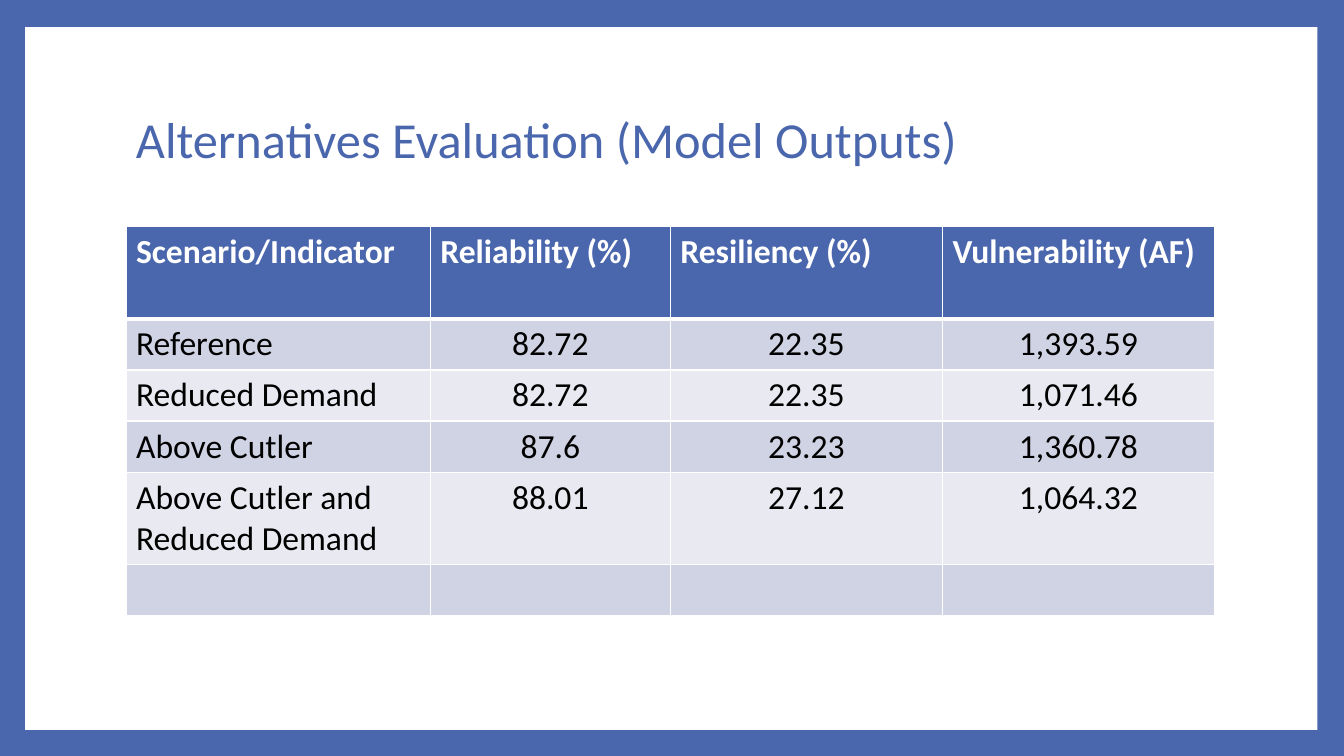
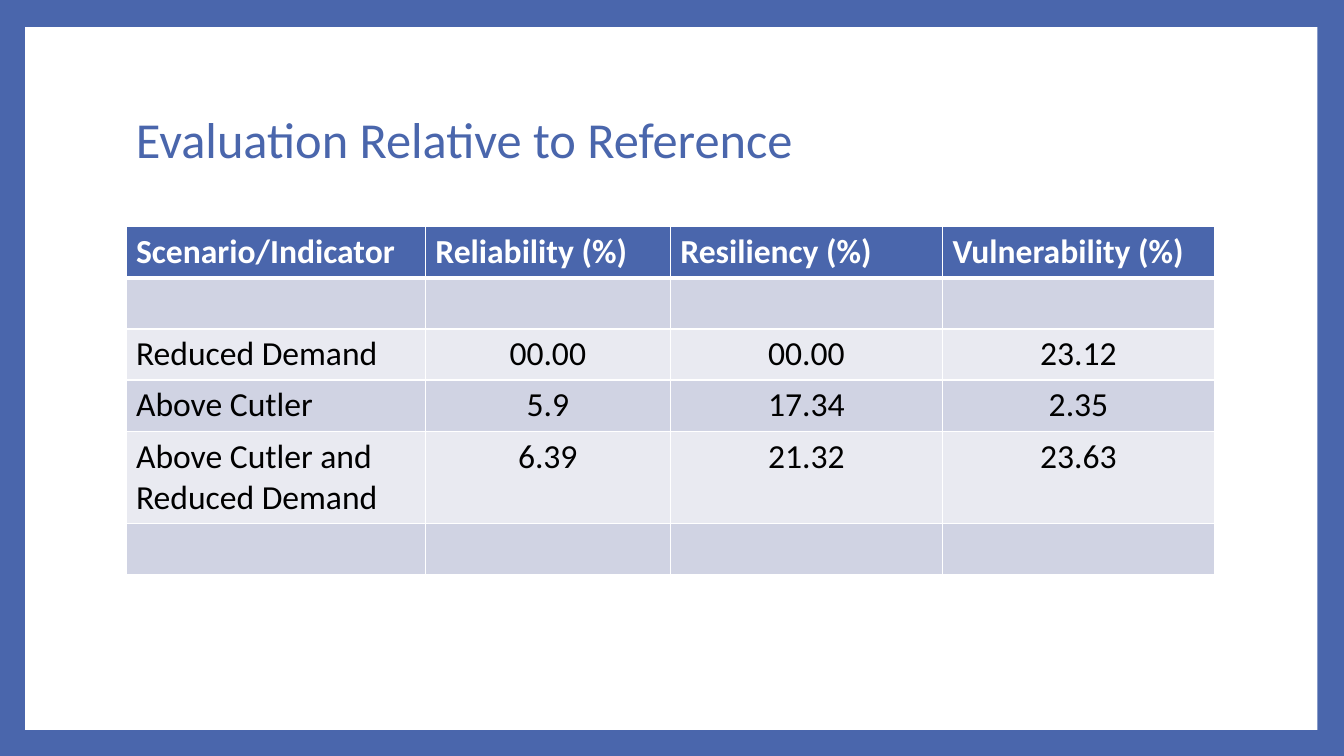
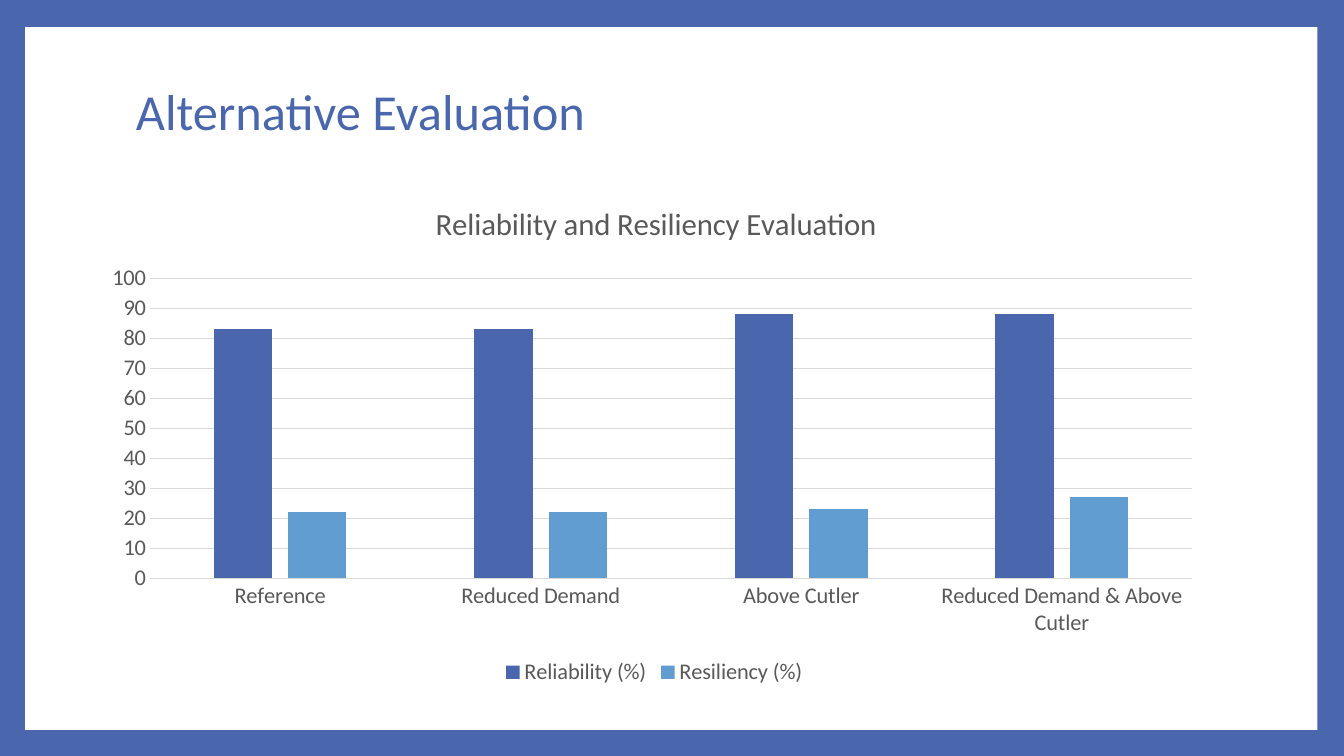
from dataclasses import dataclass

from lxml import etree
from pptx import Presentation
from pptx.chart.data import CategoryChartData
from pptx.dml.color import RGBColor
from pptx.enum.chart import XL_CHART_TYPE, XL_LEGEND_POSITION, XL_TICK_MARK
from pptx.enum.shapes import MSO_SHAPE
from pptx.enum.text import MSO_ANCHOR, PP_ALIGN
from pptx.oxml.ns import qn
from pptx.util import Pt

COLUMN = XL_CHART_TYPE.COLUMN_CLUSTERED
BOTTOM = XL_LEGEND_POSITION.BOTTOM
NO_TICK = XL_TICK_MARK.NONE
RECT = MSO_SHAPE.RECTANGLE
MIDDLE = MSO_ANCHOR.MIDDLE
LEFT, CENTER = PP_ALIGN.LEFT, PP_ALIGN.CENTER


@dataclass(frozen=True)
class Theme:
    font: str = "Calibri"
    blue: str = "4A66AC"
    sky: str = "629DD1"
    white: str = "FFFFFF"
    black: str = "000000"
    gray: str = "595959"
    rule: str = "D9D9D9"
    bands: tuple = ("D0D3E3", "E9EAF1")
    title: int = 36
    cell: int = 24
    chart: int = 22
    label: int = 16
    base: int = 10


THEME = Theme()
LEFT_EDGE, WIDTH = 90, 777.6
ROW, TALL = 36.5, 65.8


def color(code):
    return RGBColor.from_string(code)


def paint(fill, code):
    fill.solid()
    fill.fore_color.rgb = color(code)


def style(font, size, code, bold=False):
    font.name = THEME.font
    font.size = Pt(size)
    font.bold = bold
    font.color.rgb = color(code)


def add_page(deck, title, height):
    page = deck.slides.add_slide(deck.slide_layouts[6])
    paint(page.background.fill, THEME.blue)
    panel = page.shapes.add_shape(RECT, Pt(18), Pt(19.4), Pt(923), Pt(502))
    panel.shadow.inherit = False
    paint(panel.fill, THEME.white)
    panel.line.fill.background()
    box = page.shapes.add_textbox(
        Pt(LEFT_EDGE), Pt(48.2), Pt(WIDTH), Pt(height))
    frame = box.text_frame
    frame.word_wrap = True
    frame.vertical_anchor = MIDDLE
    line = frame.paragraphs[0]
    line.text = title
    line.line_spacing = 0.9
    style(line.runs[0].font, THEME.title, THEME.blue)
    return page


def make_edge(side, width):
    edge = etree.Element(qn(f"a:ln{side}"), w=str(Pt(width)))
    fill = etree.SubElement(edge, qn("a:solidFill"))
    etree.SubElement(fill, qn("a:srgbClr"), val=THEME.white)
    return edge


def set_edges(cell, top, bottom):
    widths = {"L": 1, "R": 1, "T": top, "B": bottom}
    props = cell._tc.get_or_add_tcPr()
    for spot, (side, width) in enumerate(widths.items()):
        props.insert(spot, make_edge(side, width))


def fill_cell(cell, text, row, col):
    head = row == 0
    paint(cell.fill, THEME.blue if head else THEME.bands[(row - 1) % 2])
    set_edges(cell, 3 if row == 1 else 1, 3 if head else 1)
    if text:
        line = cell.text_frame.paragraphs[0]
        line.text = text
        line.alignment = LEFT if head or col == 0 else CENTER
        style(line.runs[0].font, THEME.cell,
              THEME.white if head else THEME.black, head)


def add_grid(page, rows, widths, tall):
    heights = [TALL if row in tall else ROW for row in range(len(rows))]
    table = page.shapes.add_table(
        len(rows), len(widths), Pt(LEFT_EDGE), Pt(162),
        Pt(WIDTH), Pt(sum(heights))).table
    for col, width in zip(table.columns, widths):
        col.width = Pt(width)
    for row, texts in enumerate(rows):
        table.rows[row].height = Pt(heights[row])
        for col, text in enumerate(texts):
            fill_cell(table.cell(row, col), text, row, col)


def place(node, spot, **parts):
    for old in node.findall(qn("c:layout")):
        node.remove(old)
    layout = etree.Element(qn("c:layout"))
    manual = etree.SubElement(layout, qn("c:manualLayout"))
    for key, value in parts.items():
        etree.SubElement(manual, qn(f"c:{key}"), val=str(value))
    node.insert(spot, layout)


def style_axis(axis):
    axis.major_tick_mark = NO_TICK
    axis.minor_tick_mark = NO_TICK
    style(axis.tick_labels.font, THEME.label, THEME.gray)


def draw_rule(line):
    line.color.rgb = color(THEME.rule)
    line.width = Pt(0.75)


def add_bars(page, title, names, series):
    data = CategoryChartData()
    data.categories = names
    for name, values, code in series:
        data.add_series(name, values)
    chart = page.shapes.add_chart(
        COLUMN, Pt(67), Pt(129.6), Pt(800.6), Pt(363.6), data).chart
    style(chart.font, THEME.base, THEME.black)

    chart.has_title = True
    head = chart.chart_title
    head.text_frame.text = title
    style(head.text_frame.paragraphs[0].runs[0].font,
          THEME.chart, THEME.gray)
    place(head.element, 1, xMode="edge", yMode="edge", x=0.3, y=0.03)
    area = chart.element.find(f".//{qn('c:plotArea')}")
    place(area, 0, layoutTarget="inner", xMode="edge", yMode="edge",
          x=0.05, y=0.19, w=0.93, h=0.59)

    chart.has_legend = True
    chart.legend.position = BOTTOM
    chart.legend.include_in_layout = False
    style(chart.legend.font, THEME.label, THEME.gray)

    names_axis, scale = chart.category_axis, chart.value_axis
    style_axis(names_axis)
    draw_rule(names_axis.format.line)
    style_axis(scale)
    scale.format.line.fill.background()
    scale.minimum_scale, scale.maximum_scale = 0, 100
    scale.major_unit = 10
    draw_rule(scale.major_gridlines.format.line)

    plot = chart.plots[0]
    plot.gap_width, plot.overlap = 219, -27
    plot.vary_by_categories = False
    for bars, (name, values, code) in zip(plot.series, series):
        paint(bars.format.fill, code)


def main():
    deck = Presentation()
    deck.slide_width, deck.slide_height = Pt(960), Pt(540)
    heads = ("Scenario/Indicator", "Reliability (%)", "Resiliency (%)")
    blank = ("",) * 4

    page = add_page(deck, "Alternatives Evaluation (Model Outputs)", 106.6)
    add_grid(page, [
        (*heads, "Vulnerability (AF)"),
        ("Reference", "82.72", "22.35", "1,393.59"),
        ("Reduced Demand", "82.72", "22.35", "1,071.46"),
        ("Above Cutler", "87.6", "23.23", "1,360.78"),
        ("Above Cutler and Reduced Demand", "88.01", "27.12", "1,064.32"),
        blank,
    ], (217.4, 171.4, 194.4, 194.4), {0, 4})

    page = add_page(deck, "Evaluation Relative to Reference", 106.6)
    add_grid(page, [
        (*heads, "Vulnerability (%)"),
        blank,
        ("Reduced Demand", "00.00", "00.00", "23.12"),
        ("Above Cutler", "5.9", "17.34", "2.35"),
        ("Above Cutler and Reduced Demand", "6.39", "21.32", "23.63"),
        blank,
    ], (213.8, 175, 194.4, 194.4), {4})

    page = add_page(deck, "Alternative Evaluation", 67)
    add_bars(page, "Reliability and Resiliency Evaluation", (
        "Reference", "Reduced Demand", "Above Cutler",
        "Reduced Demand & Above Cutler",
    ), (
        ("Reliability (%)", (83, 83, 88, 88), THEME.blue),
        ("Resiliency (%)", (22, 22, 23, 27), THEME.sky),
    ))
    deck.save("out.pptx")


if __name__ == "__main__":
    main()
